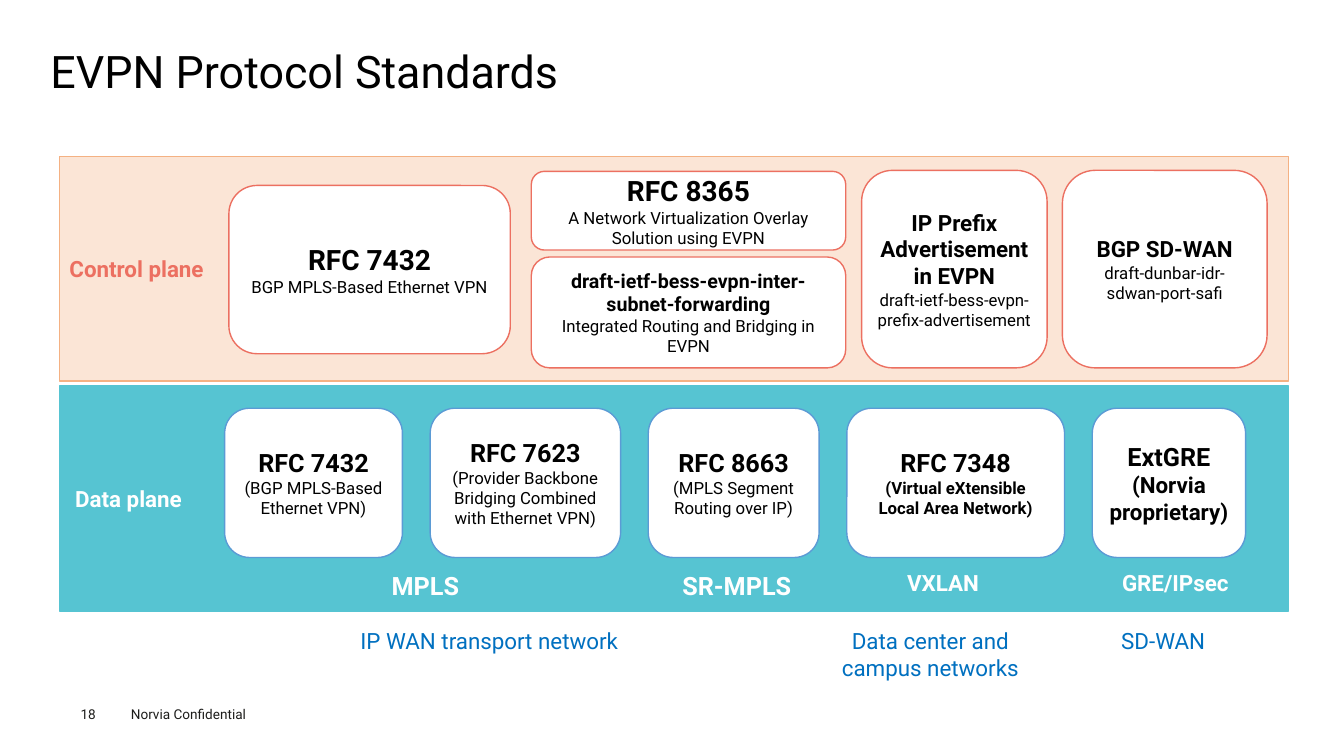
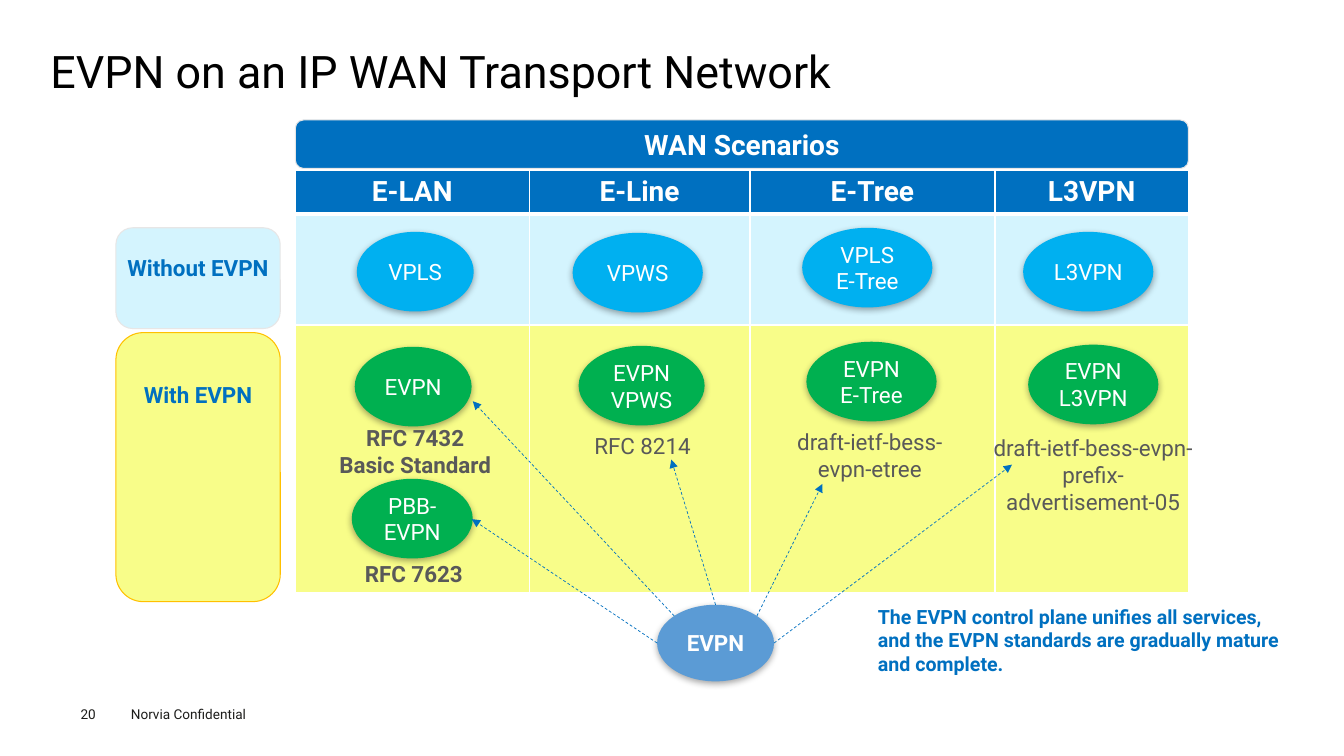
from math import cos, radians, sin

from lxml.etree import SubElement
from pptx import Presentation
from pptx.dml.color import RGBColor
from pptx.enum.dml import MSO_LINE as Dash
from pptx.enum.shapes import MSO_CONNECTOR as Conn, MSO_SHAPE as Kind
from pptx.enum.text import MSO_ANCHOR as Anchor, PP_ALIGN as Align
from pptx.oxml.ns import qn
from pptx.util import Pt

FONT = "Roboto"
BLACK, WHITE, INK, GREY = "000000", "FFFFFF", "1D1D1B", "595959"
BLUE, SKY, GREEN, STEEL = "0070C0", "00B0F0", "00B050", "5B9BD5"
CORAL, PEACH, TAN, TEAL = "EC7061", "FBE5D6", "F4B183", "56C4D2"
ICE, LEMON, GOLD, PALE = "D4F4FE", "F8FD89", "FFC000", "E7E6E6"


# Shared helpers
def rgb(code):
    return RGBColor.from_string(code)


def style(item, **vals):
    for key, val in vals.items():
        setattr(item, key, val)


def pts(*nums):
    return [Pt(num) for num in nums]


def write(frame, paras, color, align=Align.CENTER, anchor=Anchor.MIDDLE,
          inset=(7.2, 3.6), lead=None):
    """Fill a text frame with (text, size, bold) paragraphs."""
    side, top = pts(*inset)
    style(frame, word_wrap=True, vertical_anchor=anchor, margin_left=side,
          margin_right=side, margin_top=top, margin_bottom=top)
    for num, (text, size, bold) in enumerate(paras):
        para = frame.add_paragraph() if num else frame.paragraphs[0]
        style(para, alignment=align, line_spacing=lead)
        run = para.add_run()
        run.text = text
        style(run.font, name=FONT, size=Pt(size), bold=bold)
        run.font.color.rgb = rgb(color)


def label(slide, box, paras, color, align=Align.CENTER, anchor=Anchor.TOP, **vals):
    shape = slide.shapes.add_textbox(*pts(*box))
    write(shape.text_frame, paras, color, align, anchor, **vals)


def block(slide, kind, box, fill, line=None, width=1):
    shape = slide.shapes.add_shape(kind, *pts(*box))
    shape.shadow.inherit = False
    shape.fill.solid()
    shape.fill.fore_color.rgb = rgb(fill)
    if line:
        shape.line.color.rgb = rgb(line)
        shape.line.width = Pt(width)
    else:
        shape.line.fill.background()
    return shape


def oval(slide, box, text, fill, bold=False):
    shape = block(slide, Kind.OVAL, box, fill)
    glow = SubElement(shape._element.spPr.find(qn("a:effectLst")), qn("a:outerShdw"),
                      blurRad="63500", dist="22860", dir="5400000",
                      algn="t", rotWithShape="0")
    tone = SubElement(glow, qn("a:srgbClr"), val=BLACK)
    SubElement(tone, qn("a:alpha"), val="35000")
    write(shape.text_frame, [(row, 16, bold) for row in text.split("\n")], WHITE)
    return shape


def arrow(slide, start, end):
    line = slide.shapes.add_connector(Conn.STRAIGHT, *pts(*start, *end))
    line.line.color.rgb = rgb(BLUE)
    style(line.line, width=Pt(0.5), dash_style=Dash.DASH)
    SubElement(line.line._get_or_add_ln(), qn("a:tailEnd"), type="triangle")
    SubElement(line._element.spPr, qn("a:effectLst"))
    return line


def sheet(deck, title, page):
    """Add a slide with its title and footer."""
    slide = deck.slides.add_slide(deck.slide_layouts[6])
    label(slide, (86.4, 500.4, 130, 19.4), [("Norvia Confidential", 9.7, False)],
          INK, Align.LEFT)
    label(slide, (57.6, 504, 28, 11.5), [(page, 9.7, False)],
          INK, Align.LEFT, inset=(0, 0))
    label(slide, (36, 35.3, 889, 39), [(title, 32, False)],
          BLACK, Align.LEFT, inset=(0, 0), lead=0.9)
    return slide


# Slide 1: protocol standards
def plane(slide, box, name, color, fill, edge, rim, cards, inset):
    """Draw a band with its name and the cards placed in it."""
    left, top = box[:2]
    band = block(slide, Kind.RECTANGLE, box, fill, edge)
    write(band.text_frame, [(name, 16, True)], color, Align.LEFT, inset=(inset, 3.6))
    for (x, y, wide, high), pad, paras in cards:
        card = block(slide, Kind.ROUNDED_RECTANGLE,
                     (left + x, top + y, wide, high), WHITE, rim)
        write(card.text_frame, paras, BLACK, inset=pad)


def control(slide, box):
    wide, slim = (7.2, 3.6), (1.4, 1.4)
    cards = [
        ((121, 20.9, 201, 120.2), wide,
         [("RFC 7432", 20, True), ("BGP MPLS-Based Ethernet VPN", 12, False)]),
        ((337, 10.8, 224.6, 56.2), wide,
         [("RFC 8365", 20, True),
          ("A Network Virtualization Overlay Solution using EVPN", 12, False)]),
        ((337, 72, 224.6, 79.2), wide,
         [("draft-ietf-bess-evpn-inter-subnet-forwarding", 14, True),
          ("Integrated Routing and Bridging in EVPN", 12, False)]),
        ((573, 10.1, 132.5, 141.1), slim,
         [("IP Prefix Advertisement in EVPN", 16, True),
          ("draft-ietf-bess-evpn-prefix-advertisement", 12, False)]),
        ((716.4, 10.1, 146.2, 141.1), wide,
         [("BGP SD-WAN", 16, True), ("draft-dunbar-idr-sdwan-port-safi", 12, False)]),
    ]
    plane(slide, box, "Control plane", CORAL, PEACH, TAN, CORAL, cards, 7.2)


def data(slide, box):
    left, top = box[:2]
    specs = [
        (127, "RFC 7432", "(BGP MPLS-Based Ethernet VPN)", 12, False),
        (136, "RFC 7623", "(Provider Backbone Bridging Combined with Ethernet VPN)",
         12, False),
        (122, "RFC 8663", "(MPLS Segment Routing over IP)", 12, False),
        (155.5, "RFC 7348", "(Virtual eXtensible Local Area Network)", 12, True),
        (109.5, "ExtGRE", "(Norvia proprietary)", 16, True),
    ]
    x, gap, cards = 118, 19.8, []
    for wide, head, text, size, bold in specs:
        pad = (1.4, 1.4) if head == "ExtGRE" else (7.2, 3.6)
        cards.append(((x, 15.8, wide, 106.6), pad,
                      [(head, 18, True), (text, size, bold)]))
        x += wide + gap
    plane(slide, box, "Data plane", WHITE, TEAL, TEAL, STEEL, cards, 11.2)
    # Tunnel names, each centred on a point of the band
    for mid, y, text, size in [(261.3, 142.2, "MPLS", 18), (483.8, 142.2, "SR-MPLS", 18),
                               (631.1, 140.4, "VXLAN", 16),
                               (797, 140.4, "GRE/IPsec", 16)]:
        label(slide, (left + mid - 60, top + y - 15, 120, 30), [(text, size, True)],
              WHITE, anchor=Anchor.MIDDLE)


def standards(deck):
    slide = sheet(deck, "EVPN Protocol Standards", "18")
    control(slide, (42.5, 111.6, 877.7, 160.6))
    data(slide, (42.5, 275.8, 877.7, 160.6))
    # Networks below the bands
    for x, wide, text in [(234, 231, "IP WAN transport network"),
                          (590.4, 148.3, "Data center and campus networks"),
                          (791.3, 79.2, "SD-WAN")]:
        label(slide, (x, 444.2, wide, 26.6), [(text, 16, False)], BLUE)


# Slide 2: WAN scenarios
def border(cell, **sides):
    props = cell._tc.get_or_add_tcPr()
    for side, width in sides.items():
        line = SubElement(props, qn(f"a:ln{side}"), w=str(Pt(width)))
        SubElement(SubElement(line, qn("a:solidFill")), qn("a:srgbClr"), val=WHITE)


def grid(slide, box):
    table = slide.shapes.add_table(3, 4, *pts(*box)).table
    style(table, first_row=False, horz_banding=False)
    for col, wide in zip(table.columns, (167, 157.7, 175, 138.2)):
        col.width = Pt(wide)
    heads = ("E-LAN", "E-Line", "E-Tree", "L3VPN")
    rows = [(30.2, BLUE, 1, 3), (79.2, ICE, 3, 1), (190.8, LEMON, 1, 1)]
    for num, (high, fill, over, under) in enumerate(rows):
        table.rows[num].height = Pt(high)
        for col, head in enumerate(heads):
            cell = table.cell(num, col)
            border(cell, L=1, R=1, T=over, B=under)
            cell.fill.solid()
            cell.fill.fore_color.rgb = rgb(fill)
            if num == 0:
                write(cell.text_frame, [(head, 20, True)], WHITE, anchor=Anchor.TOP)


def services(slide, box):
    """Place the service ovals and their standards over the grid."""
    left, top = box[:2]
    for x, y, wide, text, fill in [
            (43.9, 43.9, 83.5, "VPLS", SKY), (198, 44.6, 93, "VPWS", SKY),
            (362, 41, 93, "VPLS\nE-Tree", SKY), (519.8, 43.9, 93, "L3VPN", SKY),
            (42.4, 126, 83.5, "EVPN", GREEN), (40.3, 220.3, 86.4, "PBB-EVPN", GREEN),
            (202.3, 125.3, 90, "EVPN\nVPWS", GREEN),
            (365, 122.4, 93, "EVPN\nE-Tree", GREEN),
            (523.4, 124.5, 93, "EVPN\nL3VPN", GREEN)]:
        oval(slide, (left + x, top + y, wide, 56.9), text, fill)
    for x, y, wide, rows, bold in [
            (20.8, 177.8, 129.6, ["RFC 7432", "Basic Standard"], True),
            (25.2, 275, 118.8, ["RFC 7623"], True),
            (190, 183.6, 116, ["RFC 8214"], False),
            (339, 180.7, 142.6, ["draft-ietf-bess-evpn-etree"], False),
            (488.8, 185, 162, ["draft-ietf-bess-evpn-prefix-advertisement-05"], False)]:
        label(slide, (left + x, top + y, wide, 26.6 * len(rows)),
              [(row, 16, bold) for row in rows], GREY)


def hub(slide, box):
    """Draw the EVPN hub and its arrows, which start on the rim."""
    left, top, wide, high = box
    core = oval(slide, box, "EVPN", STEEL, True)
    for turn, end in [(225, (337.7, 286.6)), (180, (337, 370.8)), (270, (479.5, 328.3)),
                      (315, (587.5, 345.6)), (0, (722.9, 331.9))]:
        angle = radians(turn)
        start = (left + wide / 2 * (1 + cos(angle)), top + high / 2 * (1 + sin(angle)))
        line = arrow(slide, start, end)
        if turn == 270:
            line.begin_connect(core, 0)


def scenes(deck):
    slide = sheet(deck, "EVPN on an IP WAN Transport Network", "20")
    # Row names
    for y, high, text, drop, fill, edge in [
            (237.6, 192.2, "With EVPN", 29, LEMON, GOLD),
            (162.7, 72, "Without EVPN", 15, ICE, PALE)]:
        side = block(slide, Kind.ROUNDED_RECTANGLE, (82.8, y, 117.4, high),
                     fill, edge, 0.75)
        write(side.text_frame, [(text, 16, True)], BLUE, anchor=Anchor.TOP,
              inset=(1, drop))
    # Header bar and grid
    bar = block(slide, Kind.ROUNDED_RECTANGLE, (211, 85.7, 637.9, 34.6),
                BLUE, PALE, 0.75)
    write(bar.text_frame, [("WAN Scenarios", 20, True)], WHITE, inset=(5.8, 2.9))
    area = (211, 121.7, 637.9, 300.2)
    grid(slide, area)
    services(slide, area)
    hub(slide, (469.4, 432, 83.5, 54.7))
    # Conclusion
    label(slide, (620, 428.4, 305.3, 51), [(
        "The EVPN control plane unifies all services, and the EVPN standards "
        "are gradually mature and complete.", 14, True)], BLUE, Align.LEFT)


def main():
    deck = Presentation()
    style(deck, slide_width=Pt(960), slide_height=Pt(540))
    standards(deck)
    scenes(deck)
    deck.save("out.pptx")


if __name__ == "__main__":
    main()
